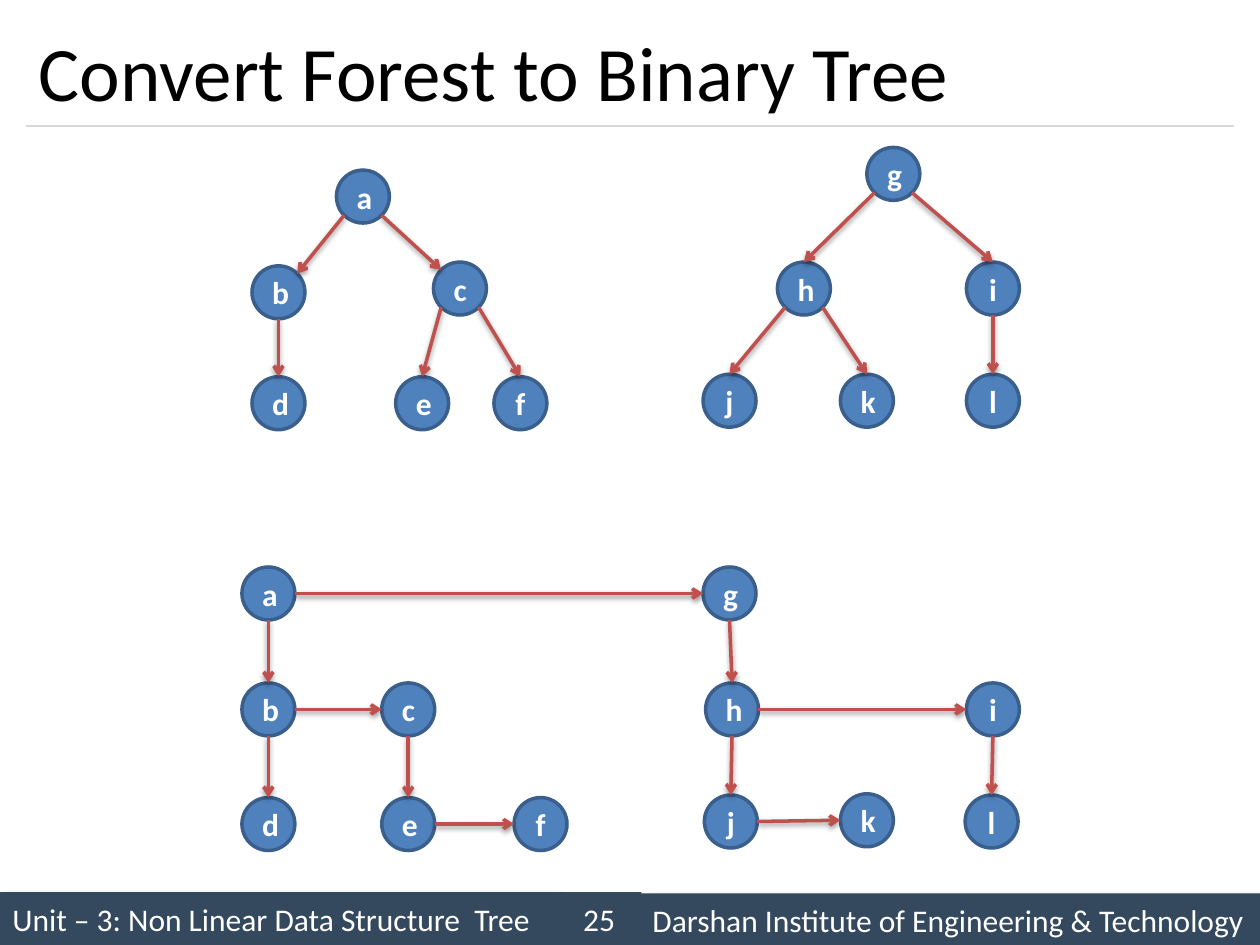
import math

from lxml import etree
from pptx import Presentation
from pptx import util as u
from pptx.dml import color
from pptx.enum import shapes, text
from pptx.oxml import ns

DIAMETER = 0.42
TOP, TOP_LEFT, LEFT, BOTTOM_LEFT, BOTTOM, BOTTOM_RIGHT, RIGHT, TOP_RIGHT = range(8)


def rgb(value):
    return color.RGBColor.from_string(value)


def child(parent, tag, **attributes):
    element = etree.SubElement(parent, ns.qn(tag))
    for name, value in attributes.items():
        element.set(name, str(value))
    return element


def write(shape, content, size=18, colour="FFFFFF", bold=False,
          align=text.PP_ALIGN.LEFT):
    frame = shape.text_frame
    frame.word_wrap = True
    frame.vertical_anchor = text.MSO_ANCHOR.MIDDLE
    paragraph = frame.paragraphs[0]
    paragraph.alignment = align
    run = paragraph.add_run()
    run.text = content
    run.font.name = "Calibri"
    run.font.size = u.Pt(size)
    run.font.bold = bold
    run.font.color.rgb = rgb(colour)


def add_shadow(effects, blur, distance, angle, opacity):
    shadow = child(effects, "a:outerShdw", blurRad=u.Pt(blur), dist=u.Pt(distance),
                   dir=angle * 60000, rotWithShape=0)
    black = child(shadow, "a:srgbClr", val="000000")
    child(black, "a:alpha", val=opacity * 1000)


class TreeSlide:
    bar_fill = "34495E"
    node_fill = "4F81BD"
    node_line = "3A5F8C"
    arrow_colour = "C0504D"
    rule_colour = "D9D9D9"

    def __init__(self, presentation):
        self.slide = presentation.slides.add_slide(presentation.slide_layouts[6])

    def title(self, content):
        box = self.slide.shapes.add_textbox(
            u.Inches(0.21), u.Inches(0.12), u.Inches(9.58), u.Inches(0.88))
        write(box, content, size=44, colour="000000")

    def shape(self, kind, left, top, width, height, fill):
        shape = self.slide.shapes.add_shape(
            kind, u.Inches(left), u.Inches(top), u.Inches(width), u.Inches(height))
        shape.shadow.inherit = False
        shape.fill.solid()
        shape.fill.fore_color.rgb = rgb(fill)
        return shape

    def bar(self, content, left, top, width, align=text.PP_ALIGN.LEFT, shadow=True):
        shape = self.shape(shapes.MSO_SHAPE.RECTANGLE, left, top, width, 0.42,
                           self.bar_fill)
        shape.line.fill.background()
        if shadow:
            effects = shape._element.spPr.find(ns.qn("a:effectLst"))
            add_shadow(effects, 4, 3, 45, 40)
        write(shape, content, align=align)

    def node(self, label, left, top):
        shape = self.shape(shapes.MSO_SHAPE.OVAL, left, top, DIAMETER, DIAMETER,
                           self.node_fill)
        shape.line.color.rgb = rgb(self.node_line)
        shape.line.width = u.Pt(2)
        write(shape, label, bold=True, align=text.PP_ALIGN.CENTER)
        return shape

    def line(self, start, end, colour, width):
        connector = self.slide.shapes.add_connector(
            shapes.MSO_CONNECTOR.STRAIGHT, *start, *end)
        connector.line.color.rgb = rgb(colour)
        connector.line.width = u.Pt(width)
        effects = child(connector._element.spPr, "a:effectLst")
        return connector, effects

    def rule(self, left, right, top):
        self.line((u.Inches(left), u.Inches(top)), (u.Inches(right), u.Inches(top)),
                  self.rule_colour, 0.75)

    def site(self, node, index):
        angle = math.radians(90 + 45 * index)
        radius = node.width / 2
        return (round(node.left + radius * (1 + math.cos(angle))),
                round(node.top + radius * (1 - math.sin(angle))))

    def arrow(self, parent, start, target, end):
        connector, effects = self.line(
            self.site(parent, start), self.site(target, end), self.arrow_colour, 2)
        add_shadow(effects, 3.1, 1.6, 90, 38)
        child(connector.line._get_or_add_ln(), "a:tailEnd", type="arrow")
        links = connector._element.nvCxnSpPr.cNvCxnSpPr
        child(links, "a:stCxn", id=parent.shape_id, idx=start)
        child(links, "a:endCxn", id=target.shape_id, idx=end)

    def tree(self, positions, edges):
        nodes = {label: self.node(label, *place) for label, place in positions.items()}
        for parent, start, target, end in edges:
            self.arrow(nodes[parent], start, nodes[target], end)


def main():
    presentation = Presentation()
    presentation.slide_width = u.Inches(10)
    presentation.slide_height = u.Inches(7.5)
    page = TreeSlide(presentation)

    page.bar("Unit – 3: Non Linear Data Structure  Tree", 0, 7.08, 4.42)
    page.rule(0.21, 9.79, 1)
    page.bar("Darshan Institute of Engineering & Technology", 5.08, 7.09, 4.92)
    page.bar("25", 4.42, 7.08, 0.67, align=text.PP_ALIGN.CENTER, shadow=False)
    page.title("Convert Forest to Binary Tree")

    page.tree(
        {"g": (6.88, 1.17), "i": (7.67, 2.08), "h": (6.17, 2.08),
         "l": (7.67, 2.97), "j": (5.58, 2.97), "k": (6.67, 2.97)},
        [("i", BOTTOM, "l", TOP), ("g", BOTTOM_RIGHT, "i", TOP),
         ("g", BOTTOM_LEFT, "h", TOP), ("h", BOTTOM_LEFT, "j", TOP),
         ("h", BOTTOM_RIGHT, "k", TOP)])
    page.tree(
        {"a": (2.67, 1.35), "b": (2, 2.11), "c": (3.44, 2.08),
         "d": (2, 2.99), "e": (3.14, 2.99), "f": (3.92, 2.99)},
        [("b", BOTTOM, "d", TOP), ("a", BOTTOM_LEFT, "b", TOP_RIGHT),
         ("a", BOTTOM_RIGHT, "c", TOP_LEFT), ("c", BOTTOM_LEFT, "e", TOP),
         ("c", BOTTOM_RIGHT, "f", TOP)])

    down = ["ab", "bd", "ce", "gh", "hj", "il"]
    across = ["ag", "bc", "ef", "hi", "jk"]
    page.tree(
        {"g": (5.58, 4.5), "i": (7.67, 5.42), "h": (5.6, 5.42),
         "l": (7.66, 6.31), "j": (5.59, 6.31), "k": (6.67, 6.3),
         "a": (1.92, 4.5), "b": (1.92, 5.42), "c": (3.03, 5.42),
         "d": (1.92, 6.33), "e": (3.03, 6.33), "f": (4.08, 6.33)},
        [(parent, BOTTOM, target, TOP) for parent, target in down]
        + [(parent, RIGHT, target, LEFT) for parent, target in across])

    presentation.save("out.pptx")


if __name__ == "__main__":
    main()
